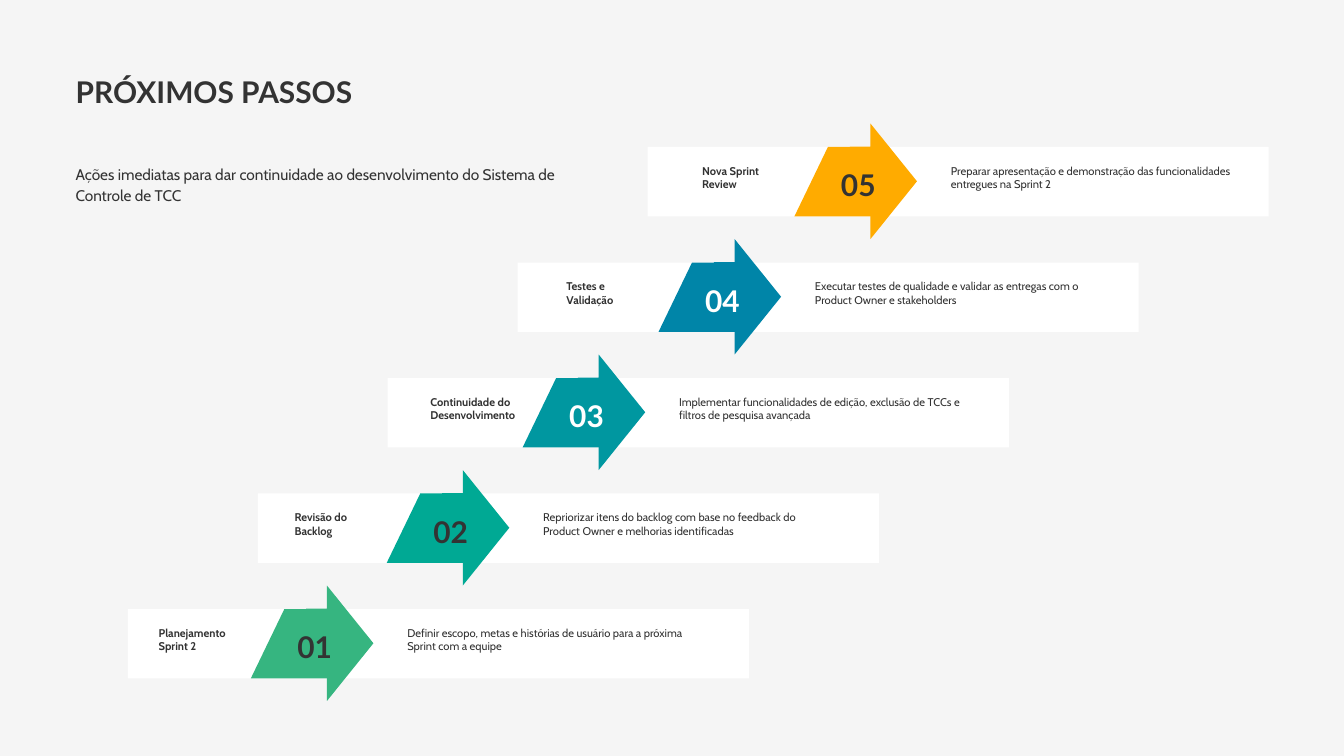
from pptx import Presentation
from pptx.dml.color import RGBColor
from pptx.enum.shapes import MSO_SHAPE as Preset
from pptx.enum.text import PP_ALIGN as Align
from pptx.util import Pt

BACKGROUND = RGBColor(0xF5, 0xF5, 0xF5)
WHITE = RGBColor(0xFF, 0xFF, 0xFF)
DARK = RGBColor(0x33, 0x33, 0x33)
GREEN = RGBColor(0x36, 0xB5, 0x80)
JADE = RGBColor(0x00, 0xA9, 0x94)
TEAL = RGBColor(0x00, 0x97, 0xA0)
BLUE = RGBColor(0x00, 0x85, 0xA8)
AMBER = RGBColor(0xFF, 0xAB, 0x00)

HEADING = dict(name="Lato", size=Pt(32), bold=True)
INTRO = dict(name="Cabin", size=Pt(16.5), bold=False)
LABEL = dict(name="Cabin", size=Pt(12), bold=True)
DETAIL = dict(name="Cabin", size=Pt(12), bold=False)

BAR_WIDTH, BAR_HEIGHT = 665.5, 74.3
BAR_STEP, ARROW_STEP, RISE = 139.2, 145.6, 123.75
FIRST_BAR, FIRST_LABEL, FIRST_ARROW = 137, 170, 268.8
FIRST_NUMBER, FIRST_DETAIL = 275.8, 436.4
FIRST_TOP = 652.5
SLANT, HEAD_WIDTH, SHAFT, OVERHANG = 35.9, 72, 22.2, 24.7

STEPS = [
    ("Planejamento\nSprint 2", 116.6,
     "Definir escopo, metas e histórias de usuário para a próxima Sprint com a equipe", 301.8,
     GREEN, DARK, 95.3),
    ("Revisão do\nBacklog", 152.6,
     "Repriorizar itens do backlog com base no feedback do Product Owner e melhorias identificadas",
     301.8, JADE, DARK, 100.8),
    ("Continuidade do Desenvolvimento", 108.8,
     "Implementar funcionalidades de edição, exclusão de TCCs e filtros de pesquisa avançada", 301.8,
     TEAL, WHITE, 95.3),
    ("Testes e\nValidação", 92.2,
     "Executar testes de qualidade e validar as entregas com o Product Owner e stakeholders", 322.6,
     BLUE, WHITE, 100.8),
    ("Nova Sprint\nReview", 108.8,
     "Preparar apresentação e demonstração das funcionalidades entregues na Sprint 2", 301.8,
     AMBER, DARK, 95.3),
]


def paint(shape, color):
    shape.shadow.inherit = False
    shape.fill.solid()
    shape.fill.fore_color.rgb = color
    shape.line.fill.background()


def add_text(slide, text, left, top, width, height, style, leading, color=DARK, align=Align.LEFT):
    frame = slide.shapes.add_textbox(Pt(left), Pt(top), Pt(width), Pt(height)).text_frame
    margins = dict.fromkeys(("margin_left", "margin_top", "margin_right", "margin_bottom"), 0)
    for name, value in margins.items():
        setattr(frame, name, value)
    frame.word_wrap = True
    frame.text = text
    for paragraph in frame.paragraphs:
        paragraph.line_spacing = Pt(leading)
        paragraph.alignment = align
        for run in paragraph.runs:
            for name, value in style.items():
                setattr(run.font, name, value)
            run.font.color.rgb = color


def add_bar(slide, left, top):
    bar = slide.shapes.add_shape(Preset.RECTANGLE, Pt(left), Pt(top), Pt(BAR_WIDTH), Pt(BAR_HEIGHT))
    paint(bar, WHITE)


def add_outline(slide, left, top, corners, color):
    points = [(Pt(left + x), Pt(top + y)) for x, y in corners]
    builder = slide.shapes.build_freeform(*points[0], scale=1.0)
    builder.add_line_segments(points[1:], close=True)
    paint(builder.convert_to_shape(), color)


def add_arrow(slide, left, top, base_width, color):
    tail = [(SLANT, 0), (base_width - SLANT, 0), (base_width, BAR_HEIGHT), (0, BAR_HEIGHT)]
    add_outline(slide, left, top, tail, color)
    bottom = BAR_HEIGHT + OVERHANG
    head = [(HEAD_WIDTH, BAR_HEIGHT / 2), (SHAFT, -OVERHANG), (SHAFT, 0), (0, 0),
            (0, BAR_HEIGHT), (SHAFT, BAR_HEIGHT), (SHAFT, bottom)]
    add_outline(slide, left + 59.3, top - 0.4, head, color)


def add_step(slide, index, label, label_width, detail, detail_width, color, number_color, base_width):
    top = FIRST_TOP - index * RISE
    shift = index * ARROW_STEP
    add_bar(slide, FIRST_BAR + index * BAR_STEP, top)
    add_arrow(slide, FIRST_ARROW + shift, top, base_width, color)
    add_text(slide, label, FIRST_LABEL + shift, top + 18.3, label_width, 28.8, LABEL, 14.4)
    add_text(slide, detail, FIRST_DETAIL + shift, top + 18.3, detail_width, 28.8, DETAIL, 14.4)
    add_text(slide, f"{index + 1:02}", FIRST_NUMBER + shift, top + 15, 80, 41.8,
             HEADING, 44.8, number_color, Align.RIGHT)


def main():
    deck = Presentation()
    deck.slide_width, deck.slide_height = Pt(1440), Pt(810)
    slide = deck.slides.add_slide(deck.slide_layouts[6])
    slide.background.fill.solid()
    slide.background.fill.fore_color.rgb = BACKGROUND
    add_text(slide, "PRÓXIMOS PASSOS", 81, 72.7, 522, 41.8, HEADING, 44.8)
    add_text(slide, "Ações imediatas para dar continuidade ao desenvolvimento do Sistema de Controle de TCC",
             81, 173.5, 522, 44.6, INTRO, 23.1)
    for index, step in enumerate(STEPS):
        add_step(slide, index, *step)
    deck.save("out.pptx")


if __name__ == "__main__":
    main()
